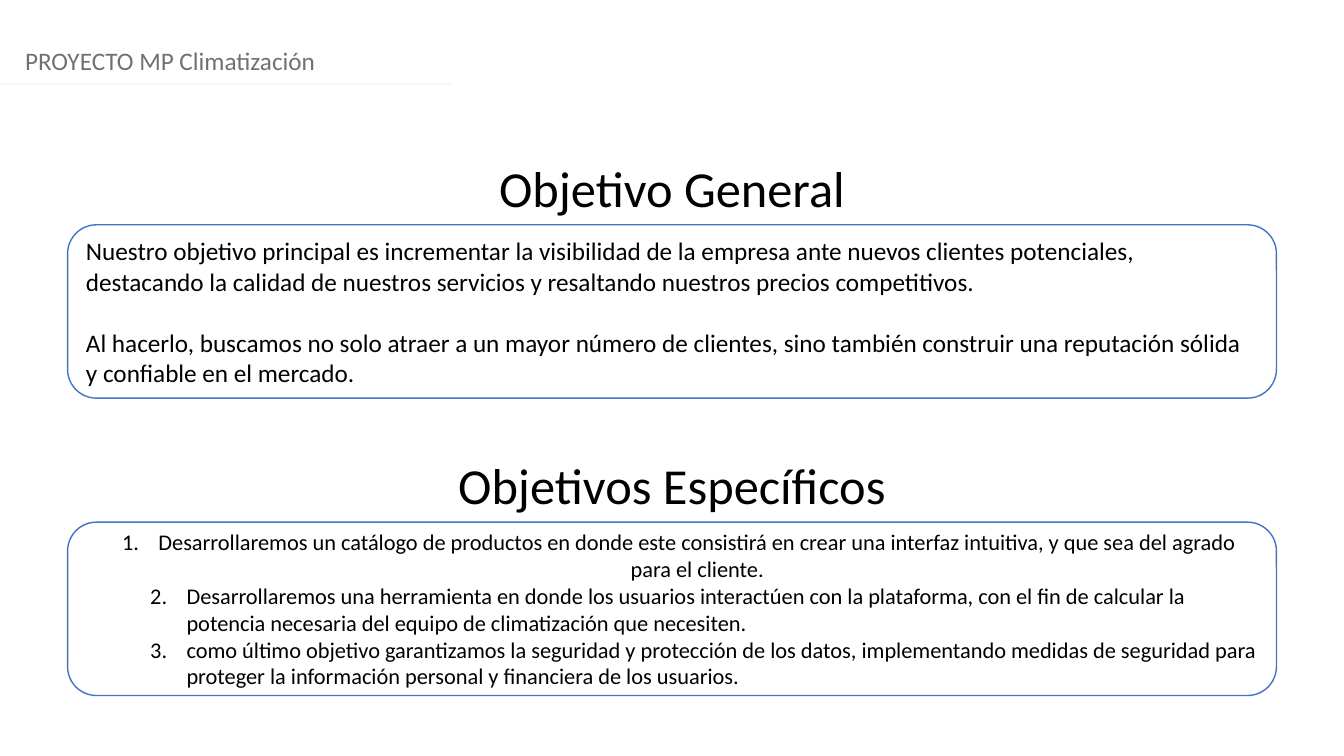
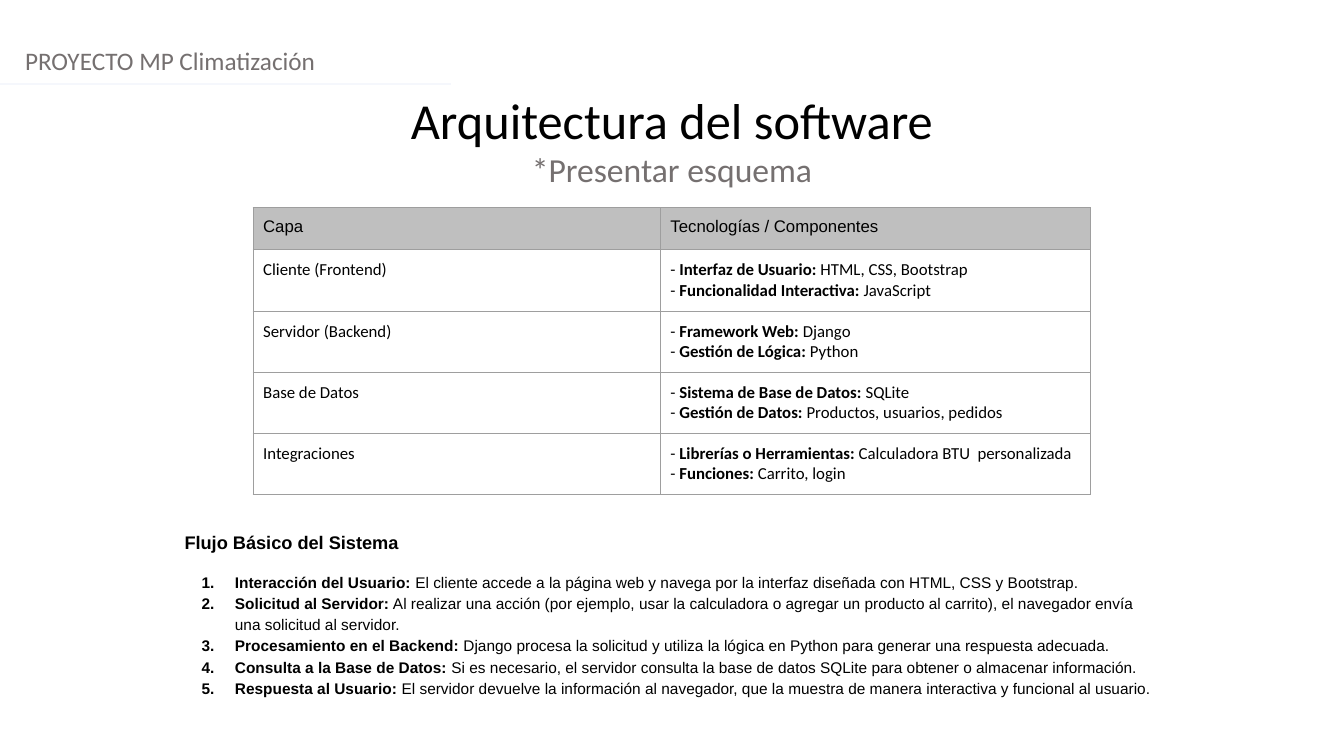
from dataclasses import dataclass
from typing import NamedTuple

from lxml.etree import SubElement
from pptx import Presentation
from pptx.dml.color import RGBColor
from pptx.enum.shapes import MSO_CONNECTOR, MSO_SHAPE
from pptx.enum.text import MSO_ANCHOR, MSO_AUTO_SIZE, PP_ALIGN
from pptx.oxml.ns import qn
from pptx.util import Inches, Pt

BLACK = RGBColor(0x00, 0x00, 0x00)
WHITE = RGBColor(0xFF, 0xFF, 0xFF)
GRAY = RGBColor(0x75, 0x70, 0x70)
BLUE = RGBColor(0x44, 0x72, 0xC4)
PALE = RGBColor(0xF5, 0xF7, 0xFC)
HEADER_FILL = RGBColor(0xBF, 0xBF, 0xBF)
BORDER = RGBColor(0x9E, 0x9E, 0x9E)

SLIDE_WIDTH = 13.33
FRAME_LEFT, FRAME_WIDTH, FRAME_HEIGHT = 0.67, 11.99, 1.72
FRAME_INSET = 0.08
HEADING_HEIGHT = 0.71


class Box(NamedTuple):
    left: float
    top: float
    width: float
    height: float


class Span(NamedTuple):
    text: str
    bold: bool = False


@dataclass
class Block:
    spans: list[Span]
    size: float
    font: str = "Calibri"
    color: RGBColor = BLACK
    align: PP_ALIGN = PP_ALIGN.LEFT
    line_spacing: float = 1.0
    space_before: float = 0
    margin: float = 0
    hanging: float = 0
    numbered: bool = False


class Layer(NamedTuple):
    name: str
    components: list[tuple[str, str]]


class Step(NamedTuple):
    name: str
    detail: str


LAYERS = [
    Layer("Cliente (Frontend)", [("Interfaz de Usuario:", " HTML, CSS, Bootstrap"),
                                 ("Funcionalidad Interactiva:", " JavaScript")]),
    Layer("Servidor (Backend)", [("Framework Web:", " Django"),
                                 ("Gestión de Lógica:", " Python")]),
    Layer("Base de Datos", [("Sistema de Base de Datos:", " SQLite"),
                            ("Gestión de Datos:", " Productos, usuarios, pedidos")]),
    Layer("Integraciones", [("Librerías o Herramientas:", " Calculadora BTU  personalizada"),
                            ("Funciones:", " Carrito, login")]),
]

STEPS = [
    Step("Interacción del Usuario:", " El cliente accede a la página web y navega por la interfaz "
         "diseñada con HTML, CSS y Bootstrap."),
    Step("Solicitud al Servidor:", " Al realizar una acción (por ejemplo, usar la calculadora o agregar "
         "un producto al carrito), el navegador envía una solicitud al servidor."),
    Step("Procesamiento en el Backend:", " Django procesa la solicitud y utiliza la lógica en Python "
         "para generar una respuesta adecuada."),
    Step("Consulta a la Base de Datos:", " Si es necesario, el servidor consulta la base de datos SQLite "
         "para obtener o almacenar información."),
    Step("Respuesta al Usuario:", " El servidor devuelve la información al navegador, que la muestra "
         "de manera interactiva y funcional al usuario."),
]

GENERAL_GOAL = [
    "Nuestro objetivo principal es incrementar la visibilidad de la empresa ante nuevos clientes "
    "potenciales, destacando la calidad de nuestros servicios y resaltando nuestros precios competitivos.",
    "Al hacerlo, buscamos no solo atraer a un mayor número de clientes, sino también construir una "
    "reputación sólida y confiable en el mercado.",
]

SPECIFIC_GOALS = [
    "Desarrollaremos un catálogo de productos en donde este consistirá en crear una interfaz intuitiva, "
    "y que sea del agrado para el cliente.",
    "Desarrollaremos una herramienta en donde los usuarios interactúen con la plataforma, con el fin de "
    "calcular la potencia necesaria del equipo de climatización que necesiten.",
    "como último objetivo garantizamos la seguridad y protección de los datos, implementando medidas de "
    "seguridad para proteger la información personal y financiera de los usuarios.",
]


def place(shape, box: Box) -> None:
    shape.left, shape.top, shape.width, shape.height = (Inches(length) for length in box)


def format_list(paragraph, block: Block) -> None:
    properties = paragraph._p.get_or_add_pPr()
    properties.set("marL", str(Inches(block.margin)))
    properties.set("indent", str(Inches(-block.hanging)))
    if not block.numbered:
        SubElement(properties, qn("a:buNone"))
        return
    color = SubElement(properties, qn("a:buClr"))
    SubElement(color, qn("a:srgbClr"), val=str(block.color))
    SubElement(properties, qn("a:buFont"), typeface=block.font)
    SubElement(properties, qn("a:buAutoNum"), type="arabicPeriod")


def write(frame, blocks: list[Block]) -> None:
    for index, block in enumerate(blocks):
        paragraph = frame.add_paragraph() if index else frame.paragraphs[0]
        paragraph.alignment = block.align
        paragraph.line_spacing = block.line_spacing
        paragraph.space_before = Pt(block.space_before)
        format_list(paragraph, block)
        for span in block.spans:
            run = paragraph.add_run()
            run.text = span.text
            run.font.name = block.font
            run.font.size = Pt(block.size)
            run.font.bold = span.bold
            run.font.color.rgb = block.color


def fill_text(shape, blocks: list[Block], anchor: MSO_ANCHOR = MSO_ANCHOR.TOP,
              vertical_margin: float = 0.05) -> None:
    frame = shape.text_frame
    frame.word_wrap = True
    frame.auto_size = MSO_AUTO_SIZE.NONE
    frame.vertical_anchor = anchor
    frame.margin_left = frame.margin_right = Inches(0.1)
    frame.margin_top = frame.margin_bottom = Inches(vertical_margin)
    write(frame, blocks)


def heading(text: str) -> Block:
    return Block([Span(text)], 36, align=PP_ALIGN.CENTER)


def add_text(slide, box: Box, blocks: list[Block]) -> None:
    shape = slide.shapes.add_textbox(*(Inches(length) for length in box))
    fill_text(shape, blocks)


def add_frame(slide, top: float):
    shape = slide.shapes.add_shape(MSO_SHAPE.ROUNDED_RECTANGLE, Inches(FRAME_LEFT), Inches(top),
                                   Inches(FRAME_WIDTH), Inches(FRAME_HEIGHT))
    shape.shadow.inherit = False
    shape.fill.solid()
    shape.fill.fore_color.rgb = WHITE
    shape.line.color.rgb = BLUE
    shape.line.width = Pt(1)
    return shape


def add_base_slide(presentation, title_box: Box, title: list[Block]):
    slide = presentation.slides.add_slide(presentation.slide_layouts[1])
    place(slide.shapes.title, title_box)
    fill_text(slide.shapes.title, title)
    add_text(slide, Box(0.15, 0.4, 13.18, 0.4),
             [Block([Span("PROYECTO MP Climatización")], 18, color=GRAY)])
    rule = slide.shapes.add_connector(MSO_CONNECTOR.STRAIGHT, Inches(0), Inches(0.83),
                                      Inches(4.47), Inches(0.83))
    rule.line.color.rgb = PALE
    rule.line.width = Pt(1.25)
    SubElement(rule._element.spPr, qn("a:effectLst"))
    return slide


def add_goals_slide(presentation) -> None:
    slide = add_base_slide(presentation, Box(0, 1.51, SLIDE_WIDTH, HEADING_HEIGHT),
                           [heading("Objetivo General")])
    add_text(slide, Box(0, 4.46, SLIDE_WIDTH, HEADING_HEIGHT), [heading("Objetivos Específicos")])
    general = add_frame(slide, 2.23)
    fill_text(general, [Block([Span(text)], 18, space_before=22 if index else 0)
                        for index, text in enumerate(GENERAL_GOAL)], MSO_ANCHOR.MIDDLE)
    specific_top = 5.18
    add_frame(slide, specific_top)
    body = slide.placeholders[1]
    place(body, Box(FRAME_LEFT + FRAME_INSET, specific_top,
                    FRAME_WIDTH - 2 * FRAME_INSET, FRAME_HEIGHT))
    fill_text(body, [Block([Span(text)], 16, numbered=True, hanging=0.36,
                           margin=1 if index else 0.5,
                           align=PP_ALIGN.LEFT if index else PP_ALIGN.CENTER)
                     for index, text in enumerate(SPECIFIC_GOALS)], MSO_ANCHOR.MIDDLE)
    body._element.getparent().append(body._element)


def format_cell(cell, blocks: list[Block], is_header: bool) -> None:
    cell.margin_left = cell.margin_right = cell.margin_top = cell.margin_bottom = Inches(0.1)
    properties = cell._tc.get_or_add_tcPr()
    for side in ("lnL", "lnR", "lnT", "lnB"):
        line = SubElement(properties, qn(f"a:{side}"), w=str(Pt(0.75)))
        fill = SubElement(line, qn("a:solidFill"))
        SubElement(fill, qn("a:srgbClr"), val=str(BORDER))
    if is_header:
        cell.fill.solid()
        cell.fill.fore_color.rgb = HEADER_FILL
    else:
        cell.fill.background()
    write(cell.text_frame, blocks)


def add_layer_table(slide) -> None:
    widths = [4.04, 4.27]
    heights = [0.42] + [0.6] * len(LAYERS)
    table = slide.shapes.add_table(len(heights), len(widths), Inches(2.51), Inches(2.06),
                                   Inches(sum(widths)), Inches(sum(heights))).table
    table.first_row = table.horz_banding = False
    for column, width in zip(table.columns, widths):
        column.width = Inches(width)
    for row, height in zip(table.rows, heights):
        row.height = Inches(height)
    for index, text in enumerate(["Capa", "Tecnologías / Componentes"]):
        format_cell(table.cell(0, index), [Block([Span(text)], 12, "Arial")], True)
    for row_index, layer in enumerate(LAYERS, start=1):
        format_cell(table.cell(row_index, 0), [Block([Span(layer.name)], 12)], False)
        components = [Block([Span("- "), Span(label, True), Span(detail)], 12)
                      for label, detail in layer.components]
        format_cell(table.cell(row_index, 1), components, False)


def add_architecture_slide(presentation) -> None:
    subtitle = Block([Span("*Presentar esquema")], 24, color=GRAY, align=PP_ALIGN.CENTER)
    slide = add_base_slide(presentation, Box(0, 0.83, SLIDE_WIDTH, 1.11),
                           [heading("Arquitectura del software"), subtitle])
    add_layer_table(slide)
    flow_title = Block([Span("Flujo Básico del Sistema", True)], 13, "Arial",
                       line_spacing=1.15, space_before=14)
    steps = [Block([Span(step.name, True), Span(step.detail)], 11, "Arial", line_spacing=1.15,
                   space_before=0 if index else 12, margin=0.5, hanging=0.33, numbered=True)
             for index, step in enumerate(STEPS)]
    body = slide.placeholders[1]
    place(body, Box(1.73, 5.14, 9.87, 1.9))
    fill_text(body, [flow_title, *steps], vertical_margin=0.1)


def main() -> None:
    presentation = Presentation()
    presentation.slide_width = Inches(SLIDE_WIDTH)
    presentation.slide_height = Inches(7.5)
    add_goals_slide(presentation)
    add_architecture_slide(presentation)
    presentation.save("out.pptx")


if __name__ == "__main__":
    main()
